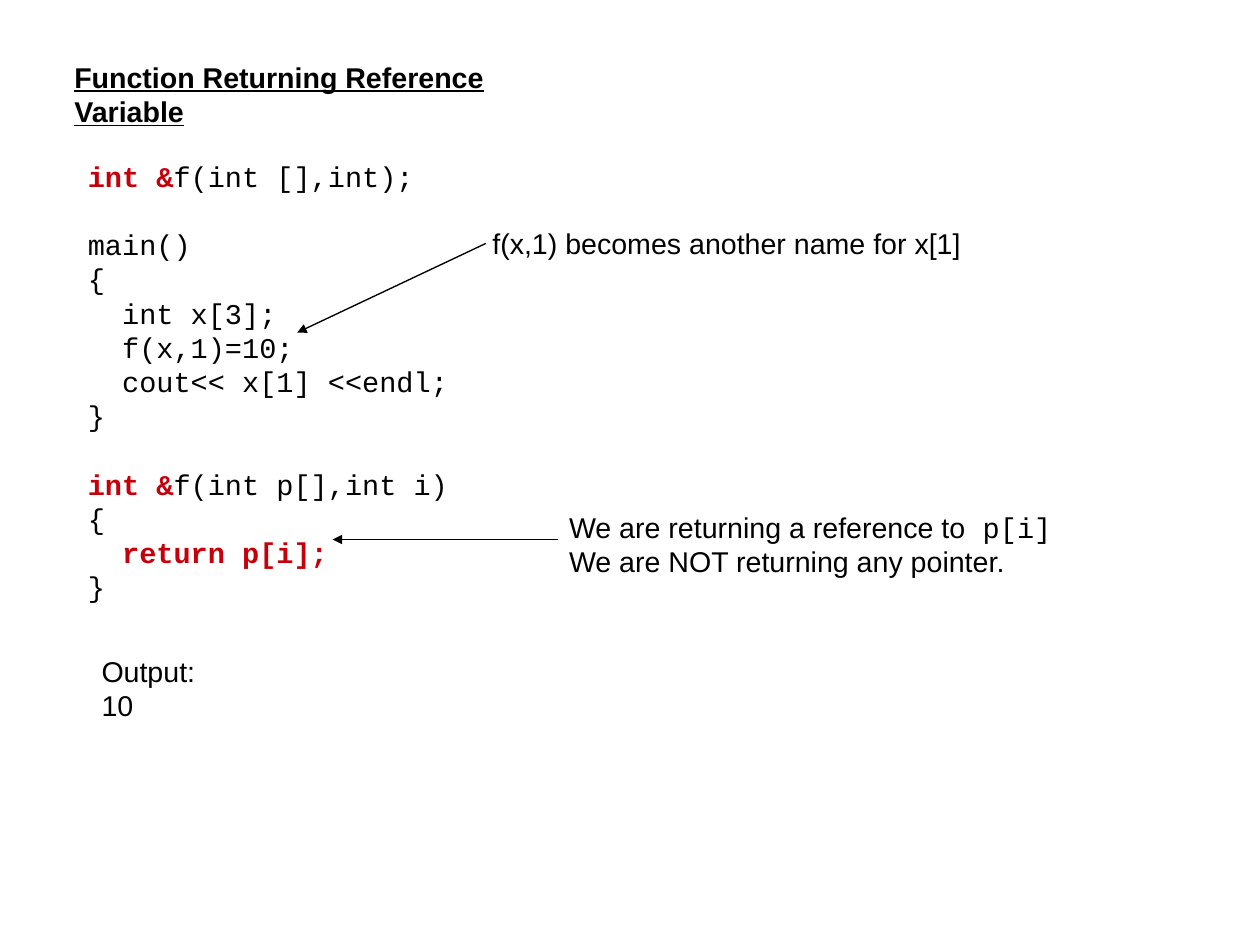
"""Build the slide on C++ functions that return a reference."""
from lxml import etree
from pptx import Presentation
from pptx.dml.color import RGBColor
from pptx.enum.shapes import MSO_CONNECTOR
from pptx.enum.text import MSO_ANCHOR, MSO_AUTO_SIZE, PP_ALIGN
from pptx.oxml.ns import qn
from pptx.util import Cm, Inches, Pt

STRAIGHT = MSO_CONNECTOR.STRAIGHT
TOP = MSO_ANCHOR.TOP
GROW = MSO_AUTO_SIZE.SHAPE_TO_FIT_TEXT
LEFT = PP_ALIGN.LEFT
COLORS = {"black": "000000", "red": "C5000B"}
LINE_HEIGHT = Pt(21.55)
INDENT = Inches(0.3)

SANS = {"name": "Arial"}
CODE = {"name": "Courier New"}
KEY = {"name": "Courier New", "bold": True, "color": "red"}
HEADING = {"name": "Arial", "bold": True, "underline": True}


def place(sp, box):
    sp.left, sp.top, sp.width, sp.height = [Inches(v) for v in box]
    tf = sp.text_frame
    frame = {"word_wrap": False, "auto_size": GROW, "vertical_anchor": TOP,
             "margin_left": Inches(0.1), "margin_right": Inches(0.1),
             "margin_top": Inches(0.05), "margin_bottom": Inches(0.05)}
    for key, value in frame.items():
        setattr(tf, key, value)
    return tf


def write(p, runs):
    p.alignment = LEFT
    for text, style in runs:
        r = p.add_run()
        r.text = text
        font = {"size": Pt(18), "bold": False, **style}
        r.font.color.rgb = RGBColor.from_string(COLORS[font.pop("color", "black")])
        for key, value in font.items():
            setattr(r.font, key, value)


prs = Presentation()
prs.slide_width, prs.slide_height = Cm(28), Cm(21)
s = prs.slides.add_slide(prs.slide_layouts[5])

tf = place(s.shapes.title, (0.55, 0.47, 4.81, 0.38))
write(tf.paragraphs[0], [("Function Returning Reference Variable", HEADING)])

code = [
    (0, 0, [("int &", KEY), ("f(int [],int);", CODE)]),
    (1, 0, [("main()", CODE)]),
    (0, 0, [("{", CODE)]),
    (0, 1, [("int x[3];", CODE)]),
    (0, 1, [("f(x,1)=10;", CODE)]),
    (0, 1, [("cout<< x[1] <<endl;", CODE)]),
    (0, 0, [("}", CODE)]),
    (1, 0, [("int &", KEY), ("f(int p[],int i)", CODE)]),
    (0, 0, [("{", CODE)]),
    (0, 1, [("return p[i];", KEY)]),
    (0, 0, [("}", CODE)]),
]
tf = place(s.shapes.add_textbox(0, 0, 0, 0), (0.67, 1.34, 3.35, 3.8))
for i, (gap, level, runs) in enumerate(code):
    p = tf.add_paragraph() if i else tf.paragraphs[0]
    p.line_spacing = LINE_HEIGHT
    p.space_before = gap * LINE_HEIGHT
    p._p.get_or_add_pPr().set("marL", str(level * INDENT))
    write(p, runs)

notes = [
    ((4.21, 1.93, 4.3, 0.38), [[("f(x,1) becomes another name for x[1]", SANS)]]),
    ((0.79, 5.67, 1.36, 0.38), [[("Output: 10", SANS)]]),
    ((4.88, 4.41, 4.42, 0.68), [
        [("We are returning a reference to", SANS), (" p[i]", CODE)],
        [("We are NOT returning any pointer.", SANS)]]),
]
for box, lines in notes:
    tf = place(s.shapes.add_textbox(0, 0, 0, 0), box)
    for i, runs in enumerate(lines):
        p = tf.add_paragraph() if i else tf.paragraphs[0]
        p.line_spacing = LINE_HEIGHT
        write(p, runs)

arrows = [(4.25, 2.13, 2.6, 2.91), (4.88, 4.72, 2.91, 4.72)]
for ends in arrows:
    arrow = s.shapes.add_connector(STRAIGHT, *[Inches(v) for v in ends])
    arrow.line.color.rgb = RGBColor.from_string(COLORS["black"])
    arrow.line.width = Pt(0.85)
    etree.SubElement(arrow.line._get_or_add_ln(), qn("a:tailEnd"), type="triangle")
    etree.SubElement(arrow._element.spPr, qn("a:effectLst"))

prs.save("out.pptx")
